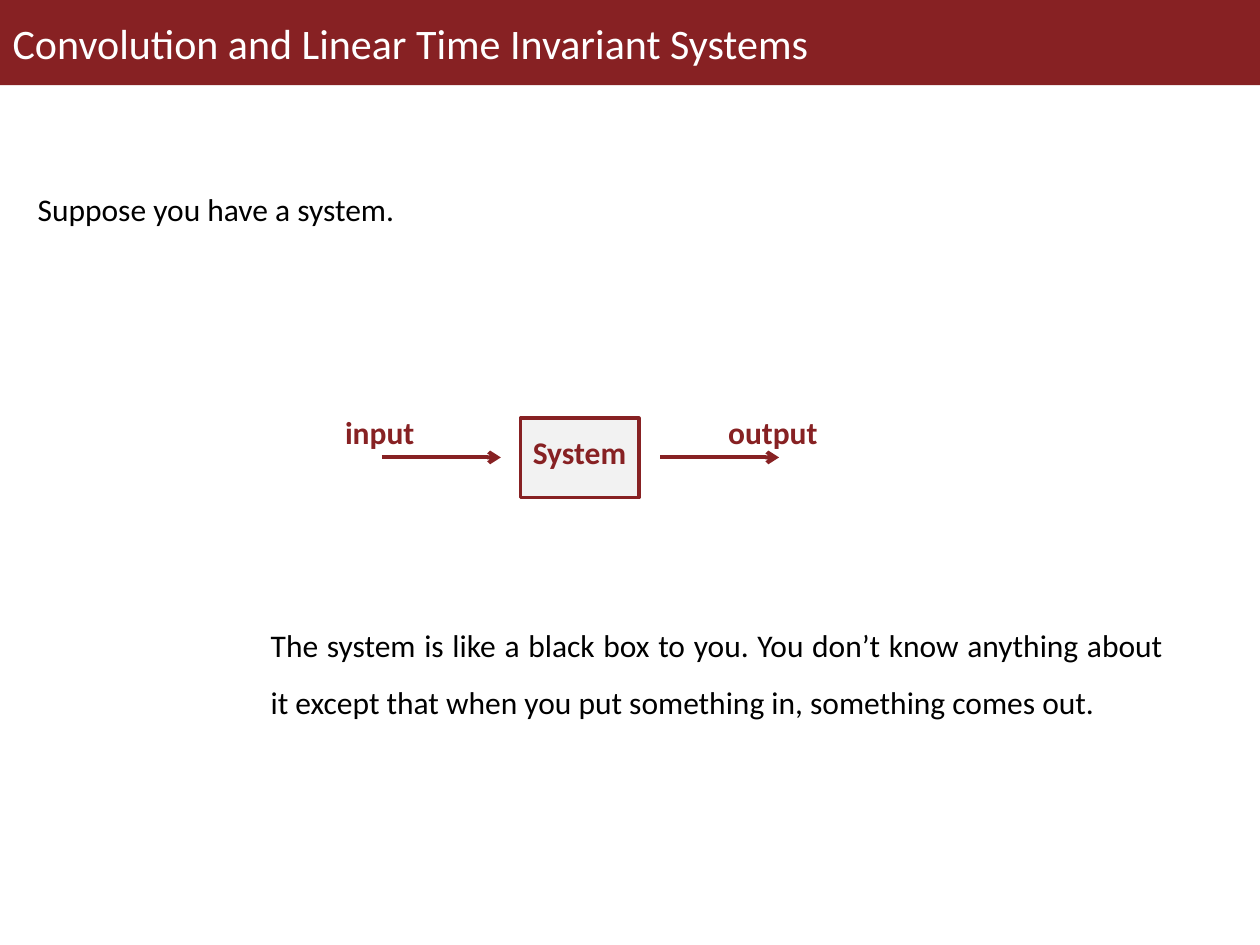
from dataclasses import dataclass

from pptx import Presentation
from pptx.dml.color import RGBColor
from pptx.enum import shapes, text
from pptx.oxml import ns, xmlchemy
from pptx.util import Pt

FONT = "Calibri"
MAROON = "872123"
WHITE = "FFFFFF"
BLACK = "000000"
LIGHT_GRAY = "F2F2F2"
ARROW_Y = 261.4
ARROW_LENGTH = 68


@dataclass
class TextItem:
    content: str
    left: float
    top: float
    width: float
    height: float
    color: str = BLACK
    bold: bool = False
    spacing: float = 1.0
    align: text.PP_ALIGN = text.PP_ALIGN.LEFT
    wrap: bool = True


BODY = [
    TextItem("Suppose you have a system.", 14.4, 94.3, 680.4, 36.7, spacing=1.5),
    TextItem(
        "The system is like a black box to you. You don’t know anything about it "
        "except that when you put something in, something comes out.",
        147.6, 343.4, 524.2, 69.1, spacing=1.5, align=text.PP_ALIGN.JUSTIFY,
    ),
]
LABELS = [
    TextItem(content, left, top, width, 28.8, MAROON, bold=True, wrap=False)
    for content, left, top, width in [
        ("System", 297.4, 244.1, 67.7),
        ("input", 190.1, 232.6, 56.9),
        ("output", 409, 232.6, 69.8),
    ]
]
ARROW_STARTS = [218.2, 377.2]


def rgb(value: str) -> RGBColor:
    return RGBColor.from_string(value)


def style_paragraph(paragraph, size: float, color: str, bold: bool = False) -> None:
    paragraph.font.name = FONT
    paragraph.font.size = Pt(size)
    paragraph.font.bold = bold
    paragraph.font.color.rgb = rgb(color)


def add_title(slide, content: str) -> None:
    title = slide.shapes.title
    title.left, title.top, title.width, title.height = Pt(0), Pt(0), Pt(720), Pt(48.7)
    title.fill.solid()
    title.fill.fore_color.rgb = rgb(MAROON)
    frame = title.text_frame
    frame.text = content
    frame.auto_size = text.MSO_AUTO_SIZE.NONE
    frame.vertical_anchor = text.MSO_ANCHOR.MIDDLE
    paragraph = frame.paragraphs[0]
    paragraph.alignment = text.PP_ALIGN.LEFT
    style_paragraph(paragraph, 24, WHITE)


def add_text(container, item: TextItem) -> None:
    shape = container.add_textbox(
        Pt(item.left), Pt(item.top), Pt(item.width), Pt(item.height)
    )
    frame = shape.text_frame
    frame.word_wrap = item.wrap
    frame.auto_size = text.MSO_AUTO_SIZE.SHAPE_TO_FIT_TEXT
    frame.text = item.content
    paragraph = frame.paragraphs[0]
    paragraph.alignment = item.align
    paragraph.line_spacing = item.spacing
    style_paragraph(paragraph, 18, item.color, item.bold)


def add_system_box(container) -> None:
    box = container.add_shape(
        shapes.MSO_SHAPE.RECTANGLE, Pt(297.4), Pt(239), Pt(67.7), Pt(45.4)
    )
    box.shadow.inherit = False
    box.fill.solid()
    box.fill.fore_color.rgb = rgb(LIGHT_GRAY)
    box.line.color.rgb = rgb(MAROON)
    box.line.width = Pt(2)


def add_arrow(container, start: float) -> None:
    arrow = container.add_connector(
        shapes.MSO_CONNECTOR.STRAIGHT,
        Pt(start), Pt(ARROW_Y), Pt(start + ARROW_LENGTH), Pt(ARROW_Y),
    )
    arrow.line.color.rgb = rgb(MAROON)
    arrow.line.width = Pt(2.25)
    tail = xmlchemy.OxmlElement("a:tailEnd")
    tail.set("type", "arrow")
    properties = arrow._element.spPr
    properties.find(ns.qn("a:ln")).append(tail)
    properties.append(xmlchemy.OxmlElement("a:effectLst"))


def main() -> None:
    presentation = Presentation()
    presentation.slide_width, presentation.slide_height = Pt(720), Pt(540)
    slide = presentation.slides.add_slide(presentation.slide_layouts[5])
    add_title(slide, "Convolution and Linear Time Invariant Systems")

    diagram = slide.shapes.add_group_shape().shapes
    add_system_box(diagram)
    for start in ARROW_STARTS:
        add_arrow(diagram, start)
    for label in LABELS:
        add_text(diagram, label)

    for item in BODY:
        add_text(slide.shapes, item)
    presentation.save("out.pptx")


if __name__ == "__main__":
    main()
